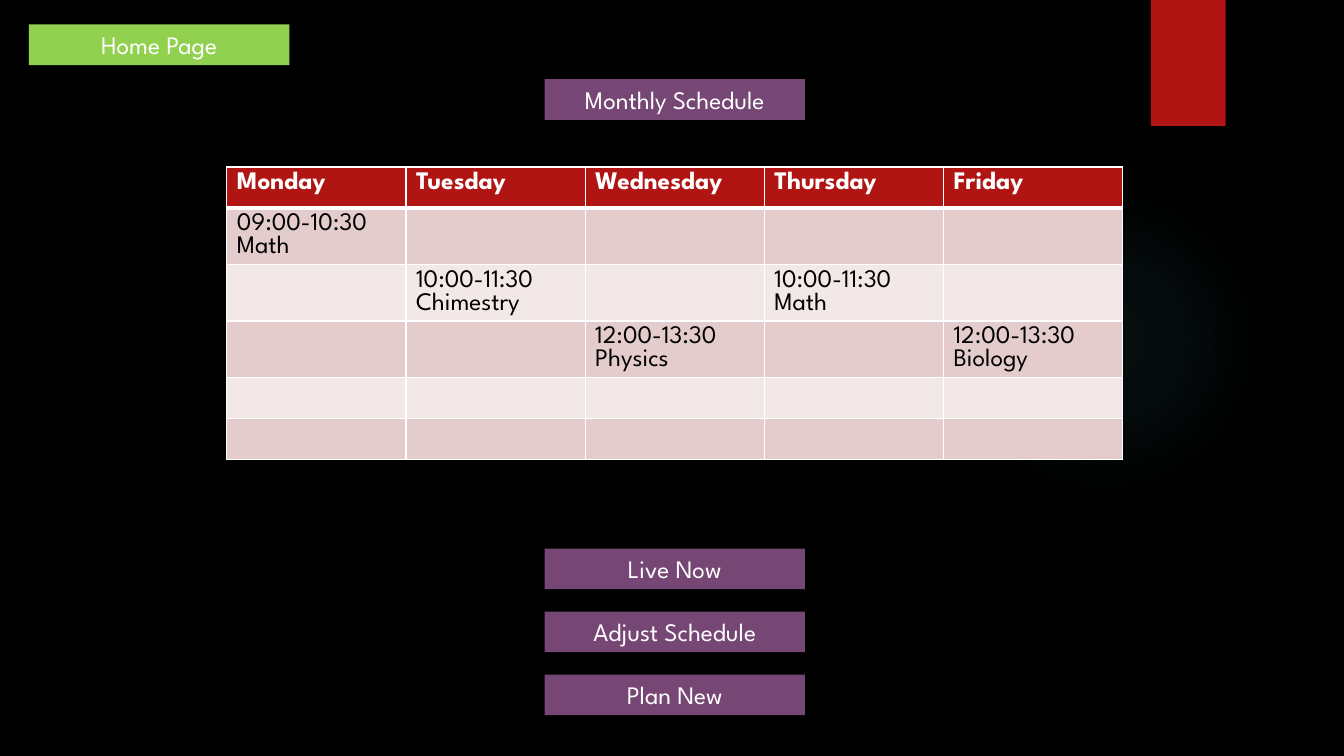
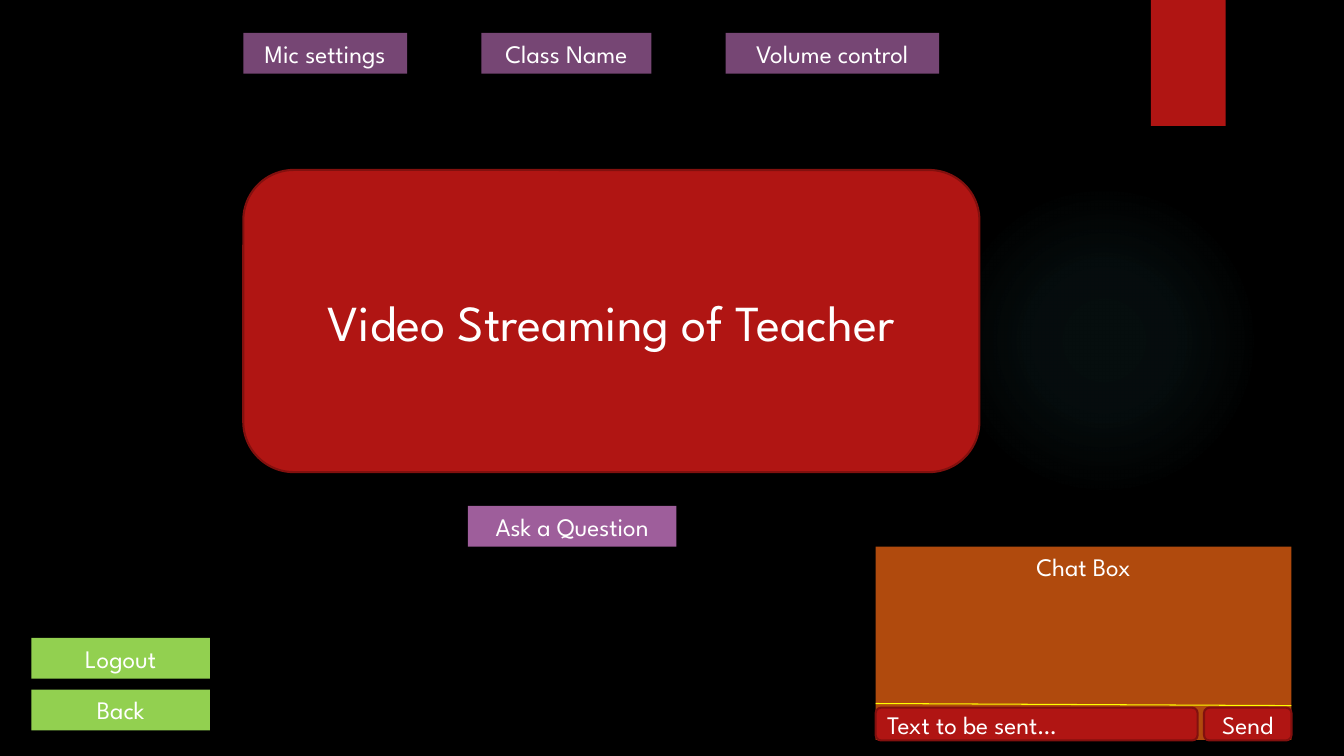
import pptx
import pptx.dml.color
import pptx.enum.dml
import pptx.enum.shapes
import pptx.enum.text
import pptx.oxml
import pptx.oxml.ns
import pptx.util

Pt = pptx.util.Pt
SHAPES = pptx.enum.shapes.MSO_SHAPE
ALIGN = pptx.enum.text.PP_ALIGN
ANCHOR = pptx.enum.text.MSO_ANCHOR

FONT = "League Spartan"
BUTTON_HEIGHT = 29.1
COLORS = {
    "background": "000000",
    "red": "B01513",
    "dark_red": "82100E",
    "purple": "764674",
    "light_purple": "9E5E9B",
    "green": "92D050",
    "orange": "B04A0D",
    "yellow": "FFFF00",
    "glow": "50B9C1",
    "white": "FFFFFF",
    "black": "000000",
    "odd_row": "E4CCCC",
    "even_row": "F2E8E7",
}

WEEKDAYS = ["Monday", "Tuesday", "Wednesday", "Thursday", "Friday"]
LESSONS = {
    (1, 0): ["09:00-10:30", "Math"],
    (2, 1): ["10:00-11:30", "Chimestry"],
    (2, 3): ["10:00-11:30", "Math"],
    (3, 2): ["12:00-13:30", "Physics"],
    (3, 4): ["12:00-13:30", "Biology"],
}


def rgb(name):
    return pptx.dml.color.RGBColor.from_string(COLORS[name])


def write_lines(text_frame, lines, size=18, color="white", bold=False, align=ALIGN.LEFT):
    for index, line in enumerate(lines):
        paragraph = text_frame.paragraphs[0] if index == 0 else text_frame.add_paragraph()
        paragraph.alignment = align
        run = paragraph.add_run()
        run.text = line
        run.font.name = FONT
        run.font.size = Pt(size)
        run.font.bold = bold
        run.font.color.rgb = rgb(color)


def add_box(slide, box, fill, kind=SHAPES.RECTANGLE, line=None):
    shape = slide.shapes.add_shape(kind, *map(Pt, box))
    shape.shadow.inherit = False
    shape.fill.solid()
    shape.fill.fore_color.rgb = rgb(fill)
    if line:
        shape.line.color.rgb = rgb(line)
        shape.line.width = Pt(1.5)
    else:
        shape.line.fill.background()
    return shape


def add_button(slide, text, left, top, width, fill="purple", height=BUTTON_HEIGHT):
    shape = add_box(slide, (left, top, width, height), fill)
    shape.text_frame.word_wrap = True
    shape.text_frame.vertical_anchor = ANCHOR.TOP
    write_lines(shape.text_frame, [text], align=ALIGN.CENTER)


def add_button_column(slide, texts, left, top, width, step, fill="purple"):
    for index, text in enumerate(texts):
        add_button(slide, text, left, top + index * step, width, fill)


def add_rounded_panel(slide, text, box, size=18, align=ALIGN.CENTER):
    shape = add_box(slide, box, "red", SHAPES.ROUNDED_RECTANGLE, "dark_red")
    shape.text_frame.word_wrap = True
    shape.text_frame.vertical_anchor = ANCHOR.MIDDLE
    write_lines(shape.text_frame, [text], size, align=align)


def add_glow(slide, left, top, diameter):
    """Faint circle that fades out from its centre."""
    glow = add_box(slide, (left, top, diameter, diameter), "glow", SHAPES.OVAL)
    stops = "".join(
        f'<a:gs pos="{position * 1000}"><a:srgbClr val="{COLORS["glow"]}">'
        f'<a:alpha val="{opacity * 1000}"/></a:srgbClr></a:gs>'
        for position, opacity in [(0, 7), (36, 6), (69, 0)]
    )
    gradient = pptx.oxml.parse_xml(
        f'<a:gradFill {pptx.oxml.ns.nsdecls("a")}><a:gsLst>{stops}</a:gsLst>'
        '<a:path path="circle"><a:fillToRect l="50000" t="50000" r="50000" b="50000"/>'
        "</a:path></a:gradFill>"
    )
    properties = glow.element.spPr
    properties.replace(properties.find(pptx.oxml.ns.qn("a:solidFill")), gradient)


def add_base_slide(presentation):
    slide = presentation.slides.add_slide(presentation.slide_layouts[6])
    slide.background.fill.solid()
    slide.background.fill.fore_color.rgb = rgb("background")
    add_glow(slide, 677.5, 132, 222)
    add_box(slide, (822, 0, 53.5, 90), "red")
    return slide


def set_cell_borders(cell, top=1, bottom=1):
    """Draw white borders; the widths are in points."""
    properties = cell._tc.get_or_add_tcPr()
    for index, (side, width) in enumerate([("L", 1), ("R", 1), ("T", top), ("B", bottom)]):
        border = pptx.oxml.parse_xml(
            f'<a:ln{side} {pptx.oxml.ns.nsdecls("a")} w="{Pt(width)}"><a:solidFill>'
            f'<a:srgbClr val="{COLORS["white"]}"/></a:solidFill></a:ln{side}>'
        )
        properties.insert(index, border)


def add_timetable(slide, left, top, width, row_height, row_count=6):
    frame = slide.shapes.add_table(
        row_count, len(WEEKDAYS), Pt(left), Pt(top), Pt(width), Pt(row_height * row_count)
    )
    table = frame.table
    table.first_row = table.horz_banding = False
    for row in range(row_count):
        for column, weekday in enumerate(WEEKDAYS):
            cell = table.cell(row, column)
            cell.fill.solid()
            if row == 0:
                cell.fill.fore_color.rgb = rgb("red")
                write_lines(cell.text_frame, [weekday], bold=True)
            else:
                cell.fill.fore_color.rgb = rgb("odd_row" if row % 2 else "even_row")
                write_lines(cell.text_frame, LESSONS.get((row, column), []), color="black")
            set_cell_borders(cell, top=3 if row == 1 else 1, bottom=3 if row == 0 else 1)


def add_toolbar(slide, left, top, gap):
    for text, width in [("Mic settings", 117), ("Class Name", 121.5), ("Volume control", 152.5)]:
        add_button(slide, text, left, top, width)
        left += width + gap


def add_chat(slide, left, top, width, height):
    add_button(slide, "Chat Box", left, top, width, "orange", height)
    divider = slide.shapes.add_connector(
        pptx.enum.shapes.MSO_CONNECTOR.STRAIGHT,
        Pt(left), Pt(top + 112), Pt(left + width), Pt(top + 113.5),
    )
    divider.line.color.rgb = rgb("yellow")
    divider.line.width = Pt(0.75)
    divider.element.spPr.append(
        pptx.oxml.parse_xml(f'<a:effectLst {pptx.oxml.ns.nsdecls("a")}/>')
    )
    input_top, input_height, send_width, gap = top + 115, 23.4, 62.5, 4.5
    message_width = width - send_width - gap
    add_rounded_panel(slide, "Text to be sent…",
                      (left, input_top, message_width, input_height), align=ALIGN.LEFT)
    add_rounded_panel(slide, "Send",
                      (left + width - send_width, input_top, send_width, input_height))


def build_schedule_slide(presentation):
    slide = add_base_slide(presentation)
    left, width = 389, 186
    add_timetable(slide, 162, 119.3, 640, 29.2)
    add_button(slide, "Home Page", 20.7, 17.4, width, "green")
    add_button(slide, "Monthly Schedule", left, 56.5, width)
    add_button_column(slide, ["Live Now", "Adjust Schedule", "Plan New"], left, 391.8, width, 45)


def build_lesson_slide(presentation):
    slide = add_base_slide(presentation)
    add_toolbar(slide, 173.8, 23.5, 53)
    add_rounded_panel(slide, "Video Streaming of Teacher", (173.8, 121.4, 525.8, 215.8), 36)
    add_button(slide, "Ask a Question", 334.2, 361.4, 149, "light_purple")
    add_button_column(slide, ["Logout", "Back"], 22.5, 455.6, 127.5, 37, "green")
    add_chat(slide, 625.5, 390.5, 297, 138)


def main():
    presentation = pptx.Presentation()
    presentation.slide_width = Pt(960)
    presentation.slide_height = Pt(540)
    build_schedule_slide(presentation)
    build_lesson_slide(presentation)
    presentation.save("out.pptx")


if __name__ == "__main__":
    main()
